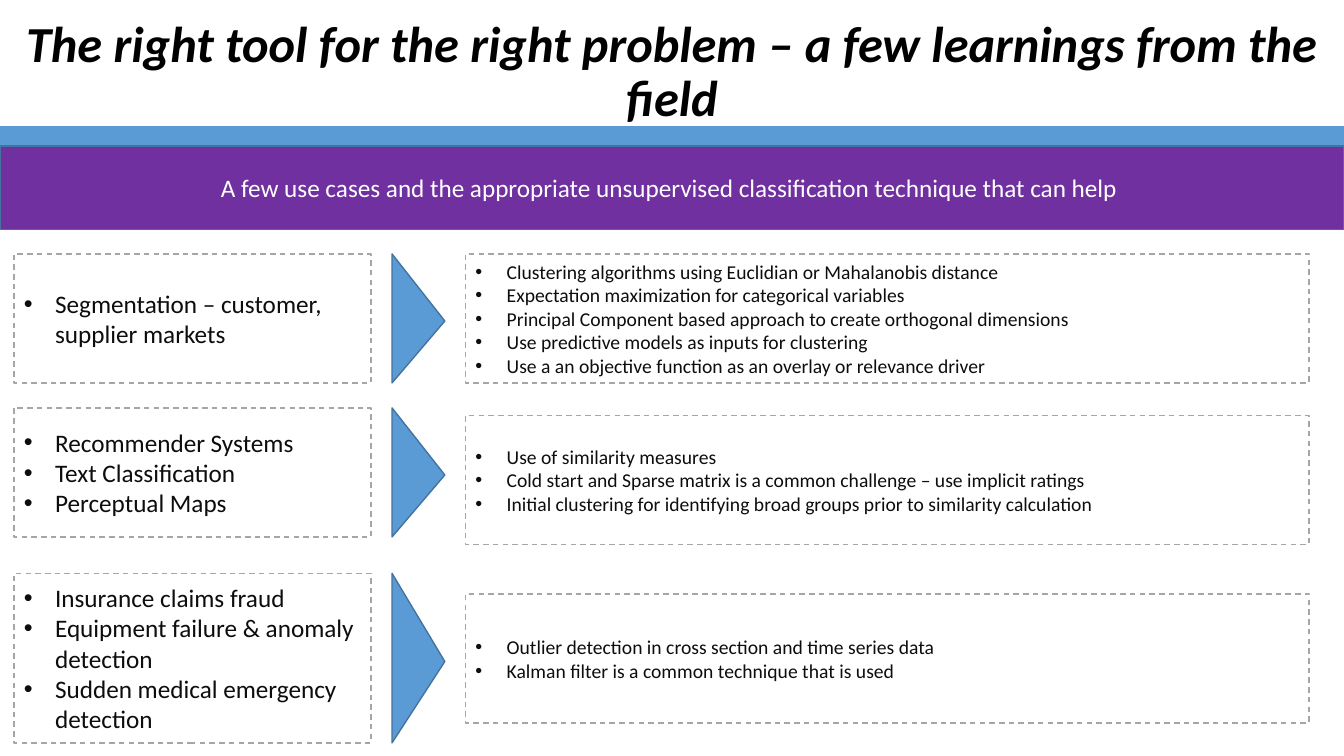
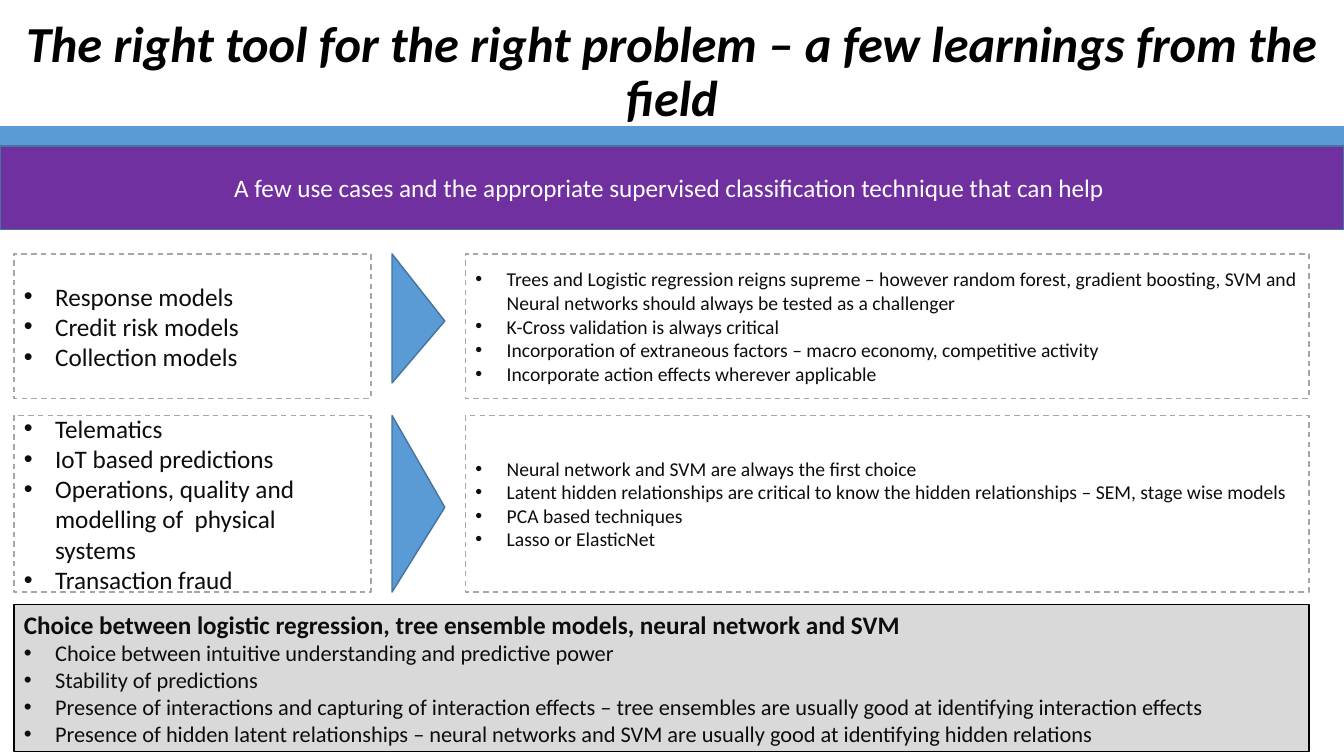
"""Build two slides that match use cases with classification techniques."""
from dataclasses import dataclass

from lxml.etree import SubElement
from pptx import Presentation
from pptx.dml.color import RGBColor
from pptx.enum.dml import MSO_LINE
from pptx.enum.shapes import MSO_SHAPE
from pptx.enum.text import MSO_ANCHOR, MSO_AUTO_SIZE, PP_ALIGN
from pptx.oxml.ns import qn
from pptx.util import Cm, Pt


@dataclass(frozen=True)
class Theme:
    font: str = "Calibri"
    black: str = "000000"
    white: str = "FFFFFF"
    ink: str = "0D0D0D"
    blue: str = "5B9BD5"
    edge: str = "43739E"
    purple: str = "7030A0"
    dash: str = "A6A6A6"
    gray: str = "D9D9D9"
    title: int = 36
    large: int = 18
    medium: int = 16
    small: int = 14


@dataclass(frozen=True)
class Row:
    cases: list
    tools: list
    left: tuple
    right: tuple
    arrow: float


THEME = Theme()
WIDTH, HEIGHT = 33.87, 19.05
CASE_X, CASE_W = 0.35, 9
ARROW_X, ARROW_W = 9.88, 1.33
TOOL_X, TOOL_W = 11.73, 21.26
INDENT = 0.79
TITLE = "The right tool for the right problem – a few learnings from the field"

UNSUPERVISED = [
    Row(["Segmentation – customer, supplier markets"],
        ["Clustering algorithms using Euclidian or Mahalanobis distance",
         "Expectation maximization for categorical variables",
         "Principal Component based approach to create orthogonal dimensions",
         "Use predictive models as inputs for clustering",
         "Use a an objective function as an overlay or relevance driver"],
        (6.4, 3.25), (6.4, 3.25), 3.25),
    Row(["Recommender Systems", "Text Classification", "Perceptual Maps"],
        ["Use of similarity measures",
         "Cold start and Sparse matrix is a common challenge – use implicit ratings",
         "Initial clustering for identifying broad groups prior to similarity calculation"],
        (10.28, 3.25), (10.47, 3.25), 3.25),
    Row(["Insurance claims fraud",
         "Equipment failure & anomaly detection",
         "Sudden medical emergency detection"],
        ["Outlier detection in cross section and time series data",
         "Kalman filter is a common technique that is used"],
        (14.45, 4.27), (14.97, 3.25), 4.27),
]

SUPERVISED = [
    Row(["Response models", "Credit risk models", "Collection models"],
        ["Trees and Logistic regression reigns supreme – however random forest, "
         "gradient boosting, SVM and Neural networks should always be tested as a challenger",
         "K-Cross validation is always critical",
         "Incorporation of extraneous factors – macro economy, competitive activity",
         "Incorporate action effects wherever applicable"],
        (6.4, 3.64), (6.4, 3.64), 3.25),
    Row(["Telematics", "IoT based predictions",
         "Operations, quality and modelling of  physical systems",
         "Transaction fraud"],
        ["Neural network and SVM are always the first choice",
         "Latent hidden relationships are critical to know the hidden relationships"
         " – SEM, stage wise models",
         "PCA based techniques",
         "Lasso or ElasticNet"],
        (10.47, 4.45), (10.47, 4.45), 4.45),
]

CHOICE = "Choice between logistic regression, tree ensemble models, neural network and SVM"
FACTORS = [
    "Choice between intuitive understanding and predictive power",
    "Stability of predictions",
    "Presence of interactions and capturing of interaction effects"
    " – tree ensembles are usually good at identifying interaction effects",
    "Presence of hidden latent relationships"
    " – neural networks and SVM are usually good at identifying hidden relations",
]


def style(para, size, color, bold=False, italic=False):
    font = para.font
    font.name, font.size = THEME.font, Pt(size)
    font.bold, font.italic = bold, italic
    font.color.rgb = RGBColor.from_string(color)


def bullet(para):
    props = para._p.get_or_add_pPr()
    props.set("marL", str(Cm(INDENT)))
    props.set("indent", str(-Cm(INDENT)))
    SubElement(props, qn("a:buFont")).set("typeface", "Arial")
    SubElement(props, qn("a:buChar")).set("char", "•")


def add_item(frame, text, size, first=False):
    para = frame.paragraphs[0] if first else frame.add_paragraph()
    para.text = text
    para.alignment = PP_ALIGN.LEFT
    bullet(para)
    style(para, size, THEME.ink)


def add_block(slide, kind, x, y, w, h, fill=None, line=None, dashed=False):
    shape = slide.shapes.add_shape(kind, Cm(x), Cm(y), Cm(w), Cm(h))
    shape.shadow.inherit = False
    if fill:
        shape.fill.solid()
        shape.fill.fore_color.rgb = RGBColor.from_string(fill)
    else:
        shape.fill.background()
    if line:
        shape.line.color.rgb = RGBColor.from_string(line)
        shape.line.width = Pt(1)
        if dashed:
            shape.line.dash_style = MSO_LINE.DASH
    else:
        shape.line.fill.background()
    shape.text_frame.word_wrap = True
    shape.text_frame.vertical_anchor = MSO_ANCHOR.MIDDLE
    return shape


def add_list(slide, x, w, span, items, size):
    top, tall = span
    box = add_block(slide, MSO_SHAPE.RECTANGLE, x, top, w, tall,
                    line=THEME.dash, dashed=True)
    for i, item in enumerate(items):
        add_item(box.text_frame, item, size, first=i == 0)


def add_arrow(slide, top, tall):
    x = ARROW_X + (ARROW_W - tall) / 2
    y = top + (tall - ARROW_W) / 2
    arrow = add_block(slide, MSO_SHAPE.ISOSCELES_TRIANGLE, x, y, tall, ARROW_W,
                      THEME.blue, THEME.edge)
    arrow.adjustments[0] = 0.52
    arrow.rotation = 90


def add_row(slide, row):
    add_list(slide, CASE_X, CASE_W, row.left, row.cases, THEME.large)
    add_arrow(slide, row.left[0], row.arrow)
    add_list(slide, TOOL_X, TOOL_W, row.right, row.tools, THEME.small)


def set_title(slide):
    title = slide.shapes.title
    title.left, title.top, title.width, title.height = 0, 0, Cm(WIDTH), Cm(3.68)
    frame = title.text_frame
    frame.text = TITLE
    frame.word_wrap = True
    frame.auto_size = MSO_AUTO_SIZE.NONE
    frame.vertical_anchor = MSO_ANCHOR.MIDDLE
    para = frame.paragraphs[0]
    para.alignment = PP_ALIGN.CENTER
    para.line_spacing = 0.9
    style(para, THEME.title, THEME.black, bold=True, italic=True)


def add_page(deck, lead, rows):
    slide = deck.slides.add_slide(deck.slide_layouts[5])
    set_title(slide)
    add_block(slide, MSO_SHAPE.RECTANGLE, 0, 3.18, WIDTH, 0.5, THEME.blue)
    band = add_block(slide, MSO_SHAPE.RECTANGLE, 0, 3.68, WIDTH, 2.11,
                     THEME.purple, THEME.edge)
    para = band.text_frame.paragraphs[0]
    para.text = lead
    para.alignment = PP_ALIGN.CENTER
    style(para, THEME.large, THEME.white)
    for row in rows:
        add_row(slide, row)
    return slide


def add_note(slide):
    wide = TOOL_X + TOOL_W - CASE_X
    box = add_block(slide, MSO_SHAPE.RECTANGLE, CASE_X, 15.24, wide, 3.7,
                    THEME.gray, THEME.black)
    head = box.text_frame.paragraphs[0]
    head.text = CHOICE
    head.alignment = PP_ALIGN.LEFT
    style(head, THEME.large, THEME.ink, bold=True)
    for item in FACTORS:
        add_item(box.text_frame, item, THEME.medium)


def main():
    deck = Presentation()
    deck.slide_width, deck.slide_height = Cm(WIDTH), Cm(HEIGHT)
    lead = "A few use cases and the appropriate {} classification technique that can help "
    add_page(deck, lead.format("unsupervised"), UNSUPERVISED)
    add_note(add_page(deck, lead.format("supervised"), SUPERVISED))
    deck.save("out.pptx")


if __name__ == "__main__":
    main()
